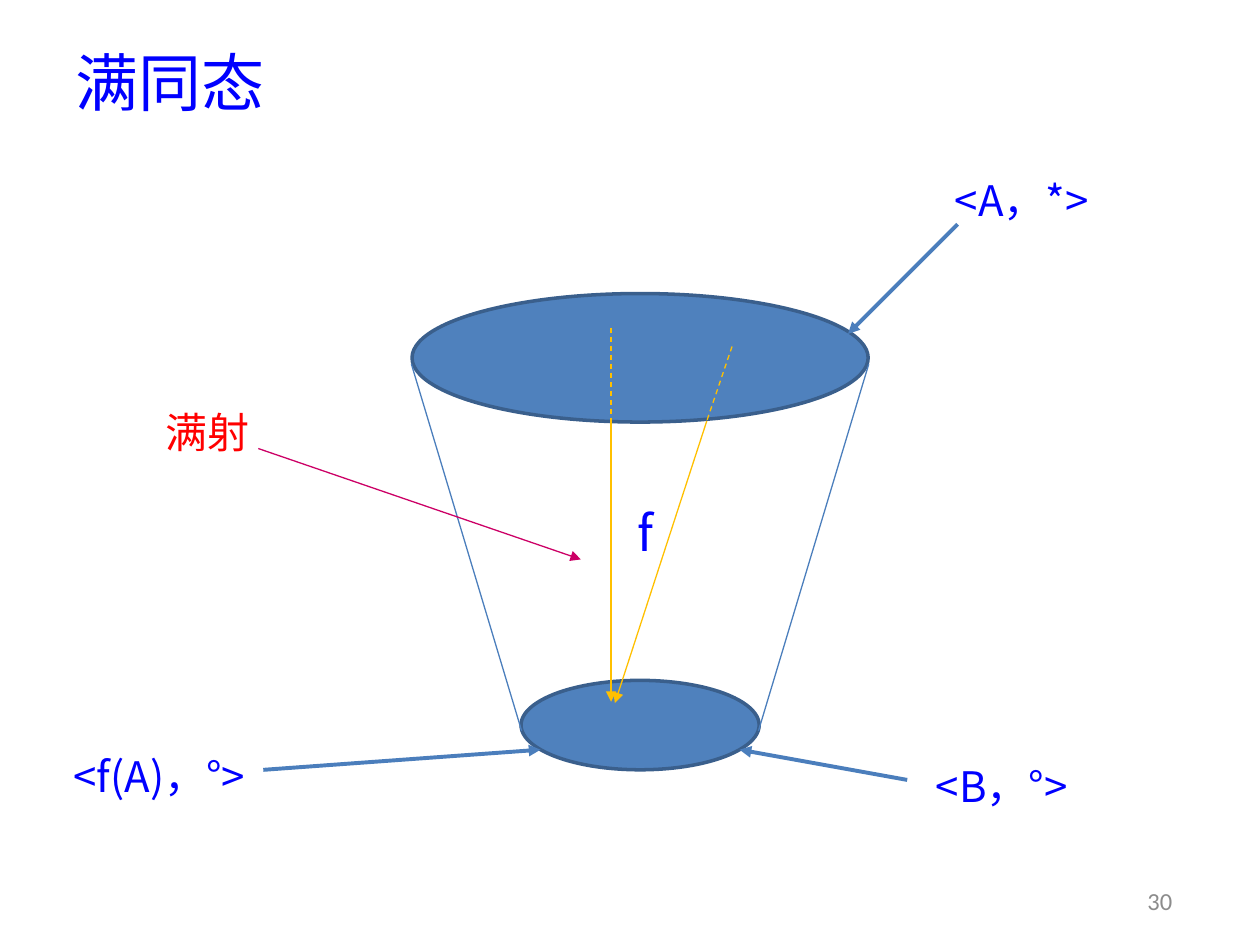
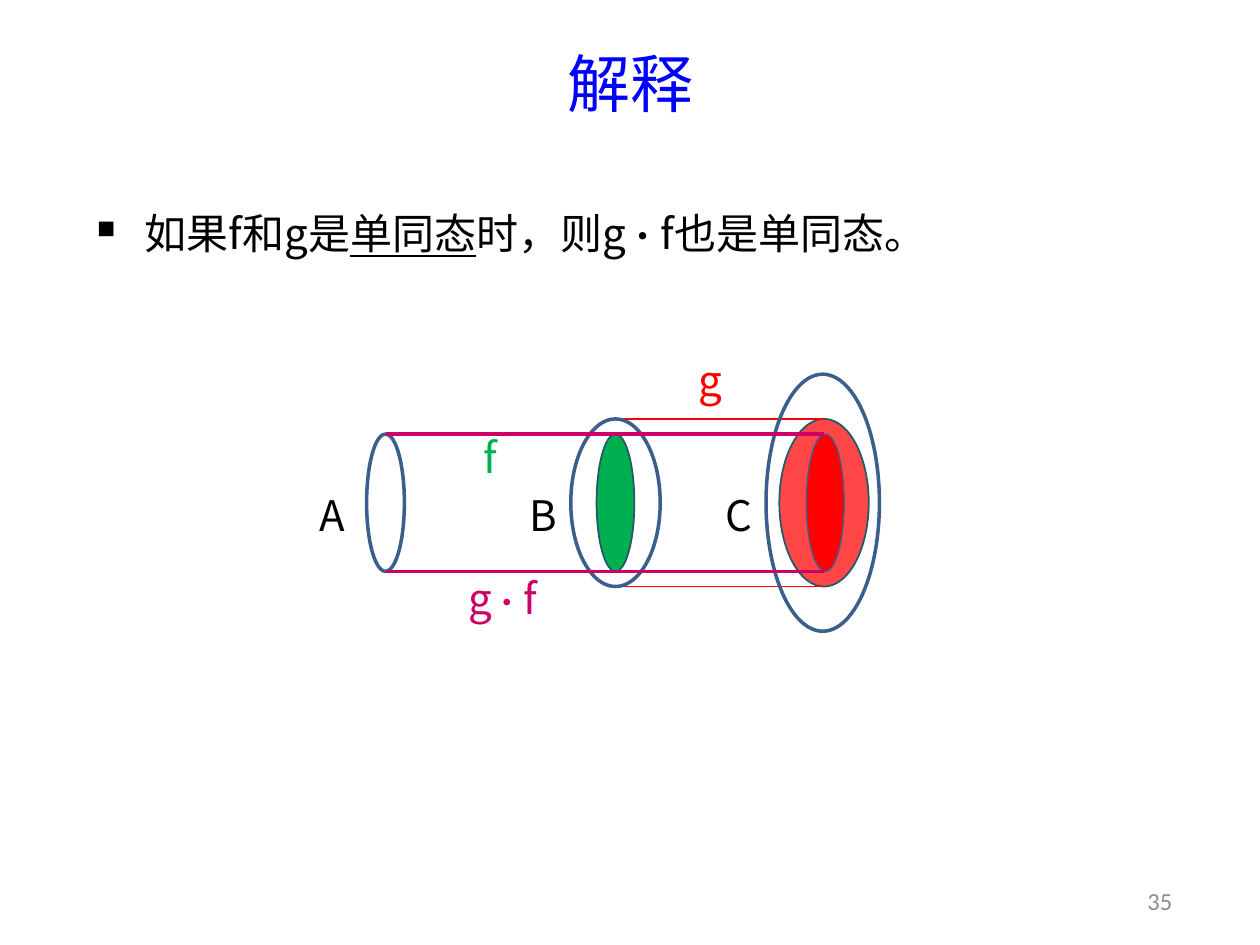
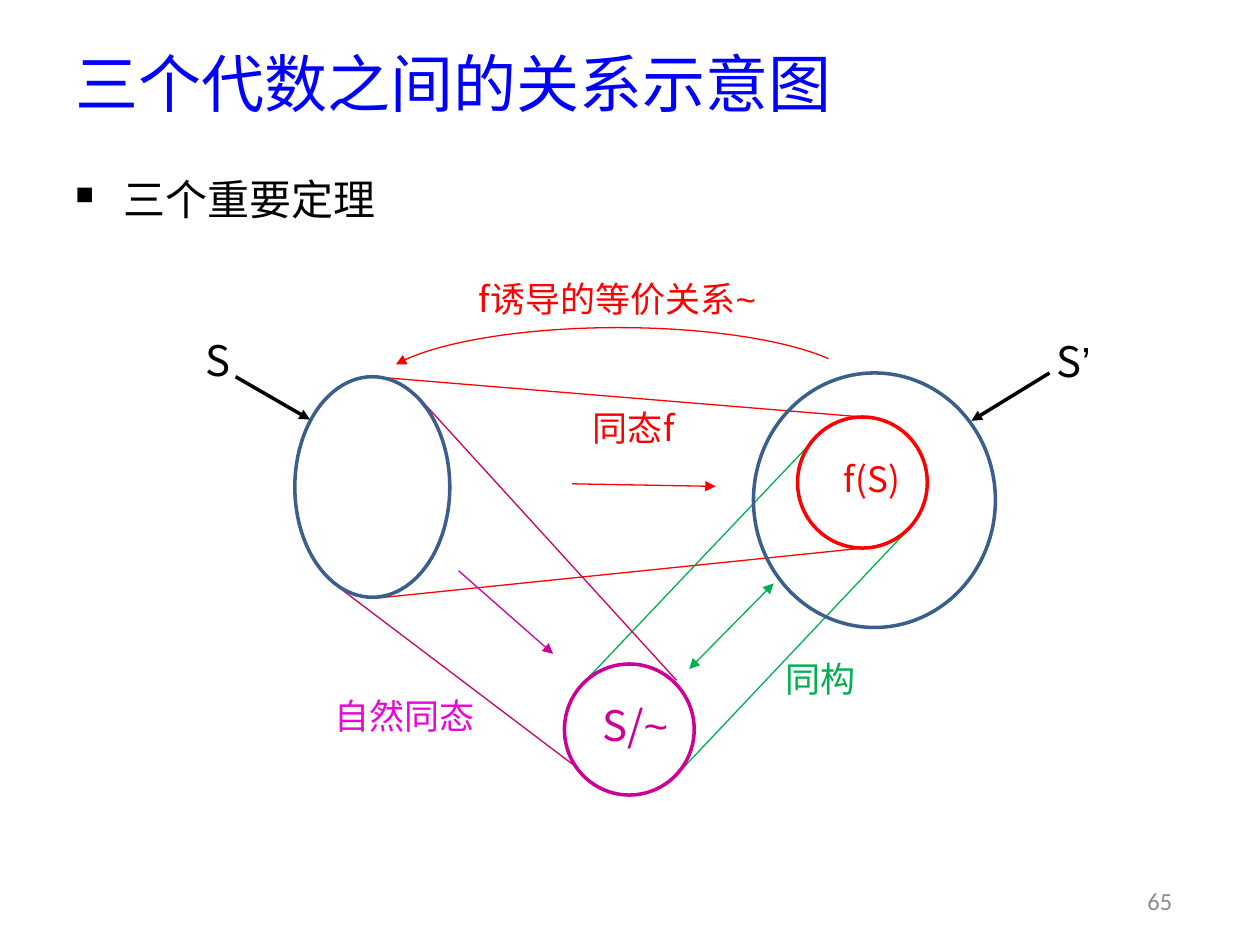
"""Build three slides that picture homomorphisms between algebras."""
import dataclasses

import lxml.etree
import pptx
import pptx.dml.color
import pptx.enum.dml
import pptx.enum.shapes
import pptx.enum.text
import pptx.oxml.ns
import pptx.util

ALIGN = pptx.enum.text.PP_ALIGN
ANCHOR = pptx.enum.text.MSO_ANCHOR
PRESET = pptx.enum.shapes.MSO_SHAPE
qn = pptx.oxml.ns.qn


@dataclasses.dataclass(frozen=True)
class Theme:
    """Page grid, fonts, type sizes, line widths and colours."""
    width = pptx.util.Inches(10)
    height = pptx.util.Inches(7.5)
    columns = 100
    rows = 75
    font = "Noto Sans CJK SC"
    number_font = "Calibri"
    symbol_font = "Arial"
    title_size = 36
    map_size = 28
    body_size = 24
    note_size = 20
    dot_size = 18
    number_size = 14
    thin = 0.75
    rim = 1
    bold = 2
    pointer = 2.25
    blue = "0000FF"
    set_fill = "4F81BD"
    set_line = "3A5F8C"
    side_line = "4B7EBC"
    teal = "215968"
    red = "FF0000"
    green = "00B050"
    gold = "FFC000"
    crimson = "CC0066"
    purple = "CC0099"
    magenta = "E707D7"
    black = "000000"
    grey = "8C8C8C"


THEME = Theme()


def col(count):
    """Turn grid columns into a length."""
    return round(THEME.width * count / THEME.columns)


def row(count):
    """Turn grid rows into a length."""
    return round(THEME.height * count / THEME.rows)


def rgb(value):
    """Turn a hex string into a colour."""
    return pptx.dml.color.RGBColor.from_string(value)


def apply(target, values):
    """Set each attribute named in a dict of format values."""
    for name, value in values.items():
        setattr(target, name, value)


def place(shape, left, top, width, height):
    """Move and size a shape on the grid."""
    apply(shape, {"left": col(left), "top": row(top),
                  "width": col(width), "height": row(height)})


def write(frame, text, size, color, font=THEME.font, align=ALIGN.CENTER,
          anchor=ANCHOR.MIDDLE, margin=0):
    """Write a string, or (string, font values) runs, as one paragraph."""
    apply(frame, {"word_wrap": True, "vertical_anchor": anchor,
                  "auto_size": pptx.enum.text.MSO_AUTO_SIZE.NONE,
                  "margin_left": col(margin), "margin_right": col(margin)})
    paragraph = frame.paragraphs[0]
    paragraph.alignment = align
    for words, changes in [(text, {})] if isinstance(text, str) else text:
        run = paragraph.add_run()
        run.text = words
        apply(run.font, {"name": font, "size": pptx.util.Pt(size), **changes})
        run.font.color.rgb = rgb(color)
        east_asian = lxml.etree.SubElement(run.font._element, qn("a:ea"))
        east_asian.set("typeface", run.font.name)
        run.font._element.find(qn("a:latin")).addnext(east_asian)
    return paragraph


def new_slide(deck, title, number, align=ALIGN.LEFT, top=3.1, height=6.9):
    """Add a slide with its title and page number."""
    slide = deck.slides.add_slide(deck.slide_layouts[5])
    place(slide.shapes.title, 5, top, 90, height)
    write(slide.shapes.title.text_frame, title, THEME.title_size, THEME.blue,
          align=align, margin=1)
    label(slide, number, (89.1, 69.5, 5.9, 4), THEME.grey, THEME.number_size,
          font=THEME.number_font)
    return slide


def label(slide, text, box, color, size=THEME.body_size, **options):
    """Add a text box in a grid box and return its paragraph."""
    left, top, width, height = box
    holder = slide.shapes.add_textbox(col(left), row(top), col(width), row(height))
    return write(holder.text_frame, text, size, color, **options)


def bullet(slide, text, box):
    """Add a paragraph with a square bullet."""
    paragraph = label(slide, text, box, THEME.black, align=ALIGN.LEFT,
                      anchor=ANCHOR.TOP, margin=1)
    apply(paragraph, {"line_spacing": 1.1, "space_before": pptx.util.Pt(6),
                      "space_after": pptx.util.Pt(6)})
    properties = paragraph._p.get_or_add_pPr()
    properties.set("marL", str(col(3.8)))
    properties.set("indent", str(-col(3.8)))
    for tag, key, value in (("a:buSzPct", "val", "60000"), ("a:buChar", "char", "■")):
        lxml.etree.SubElement(properties, qn(tag)).set(key, value)


def arrowheads(line_owner, ends):
    """Put triangles on the named line ends."""
    line = line_owner.line._get_or_add_ln()
    for end in ends:
        lxml.etree.SubElement(line, qn(f"a:{end}")).set("type", "triangle")


def outline(slide, preset, box, line=None, width=THEME.bold, fill=None, opacity=None):
    """Add a preset shape with the given line and fill."""
    left, top, across, down = box
    shape = slide.shapes.add_shape(preset, col(left), row(top), col(across), row(down))
    shape.shadow.inherit = False
    if fill:
        shape.fill.solid()
        shape.fill.fore_color.rgb = rgb(fill)
    else:
        shape.fill.background()
    if opacity:
        color = shape.fill._xPr.find(qn("a:solidFill"))[0]
        lxml.etree.SubElement(color, qn("a:alpha")).set("val", str(opacity * 1000))
    if line:
        shape.line.color.rgb = rgb(line)
        shape.line.width = pptx.util.Pt(width)
    else:
        shape.line.fill.background()
    return shape


def ellipse(slide, center, size, line=THEME.set_line, **style):
    """Add an ellipse around a centre point."""
    box = [middle - length / 2 for middle, length in zip(center, size)]
    return outline(slide, PRESET.OVAL, (*box, *size), line, **style)


def stroke(slide, start, end, color, width=THEME.thin, ends=(), dashed=False):
    """Add a straight line between two grid points."""
    line = slide.shapes.add_connector(
        pptx.enum.shapes.MSO_CONNECTOR.STRAIGHT,
        col(start[0]), row(start[1]), col(end[0]), row(end[1]))
    line.line.color.rgb = rgb(color)
    line.line.width = pptx.util.Pt(width)
    if dashed:
        line.line.dash_style = pptx.enum.dml.MSO_LINE.DASH
    arrowheads(line, ends)
    lxml.etree.SubElement(line._element.spPr, qn("a:effectLst"))


def arrow(slide, start, end, color, width=THEME.thin, both=False):
    """Add an arrow that points at its end, or both ways."""
    stroke(slide, start, end, color, width,
           ("headEnd", "tailEnd") if both else ("tailEnd",))


def epimorphism(deck):
    """Show a surjective map from A onto B."""
    slide = new_slide(deck, "满同态", "30", top=2.2, height=8.5)
    axis = 50.8
    for middle, size in ((28.4, (36.2, 10.2)), (57.55, (18.9, 7.1))):
        ellipse(slide, (axis, middle), size, fill=THEME.set_fill)
    for side in (-1, 1):
        stroke(slide, (axis + side * 18.15, 28.9), (axis + side * 9.4, 58),
               THEME.side_line)

    algebras = (
        ("<f(A)，°>", (2, 58.8, 21.3, 5.5), (20.9, 61.1), (42.9, 59.5)),
        ("<A，*>", (68.1, 13.1, 26, 5.5), (76, 17.8), (67.3, 26.5)),
        ("<B，°>", (68.9, 59.6, 21.2, 5.5), (72, 61.9), (58.7, 59.5)),
    )
    for name, box, start, end in algebras:
        label(slide, name, box, THEME.blue)
        arrow(slide, start, end, THEME.side_line, THEME.pointer)
    label(slide, "f", (44.5, 39.9, 13.4, 4.7), THEME.blue, THEME.map_size)

    for element, rim, image in (((48.5, 26), (48.5, 33.5), (48.5, 55.7)),
                                ((58.1, 27.5), (56.1, 33.4), (48.8, 55.8))):
        arrow(slide, rim, image, THEME.gold)
        stroke(slide, element, rim, THEME.gold, dashed=True)

    surjection = outline(slide, PRESET.ROUNDED_RECTANGLE, (11.1, 32, 10.8, 4.5))
    write(surjection.text_frame, "满射", THEME.body_size, THEME.red)
    arrow(slide, (20.5, 35.6), (46.1, 44.4), THEME.crimson)


def composition(deck):
    """Show that two monomorphisms compose to a monomorphism."""
    slide = new_slide(deck, "解释", "35", ALIGN.CENTER)
    axis = 39.9
    a, b, c = 30.6, 48.85, 65.4
    size_a, size_b, size_c = (3, 10.9), (7.1, 13.3), (9, 20.4)

    def rails(start, end, size, color, **style):
        """Join two sets along their top and bottom."""
        for side in (-1, 1):
            level = axis + side * size[1] / 2
            stroke(slide, (start, level), (end, level), color, **style)

    ellipse(slide, (c, axis), size_b, THEME.teal, width=THEME.rim,
            fill=THEME.red, opacity=72)
    rails(b, c, size_b, THEME.red)
    dot = {"size": pptx.util.Pt(THEME.note_size)}
    bullet(slide, [("如果f和g是", {}), ("单同态", {"underline": True}),
                   ("时，则g", {}), ("·", dot), ("f也是单同态。", {})],
           (6.7, 15.6, 69.1, 5.7))
    for center, size in ((a, size_a), (b, size_b), (c - 0.1, size_c)):
        ellipse(slide, (center, axis), size)
    rails(a, b, size_a, THEME.green)
    ellipse(slide, (b, axis), size_a, THEME.teal, width=THEME.rim, fill=THEME.green)
    rails(b, c, size_a, THEME.red, dashed=True)
    ellipse(slide, (c + 0.1, axis), size_a, width=THEME.thin, fill=THEME.red)
    rails(a, c, size_a, THEME.crimson, width=THEME.bold)

    for name, left, top, color in (
            ("A", 23.4, 38.9, THEME.black), ("B", 40.2, 38.9, THEME.black),
            ("C", 55.7, 38.9, THEME.black), ("f", 36, 34.3, THEME.green),
            ("g", 53.4, 28.2, THEME.red)):
        label(slide, name, (left, top, 5.9, 3.9), color)
    label(slide, [("g", {}), ("·", {"size": pptx.util.Pt(THEME.dot_size)}), ("f", {})],
          (34.2, 45.5, 11.4, 3.8), THEME.crimson)


def three_algebras(deck):
    """Relate S, its image in S’ and its quotient."""
    slide = new_slide(deck, "三个代数之间的关系示意图", "65")
    bullet(slide, "三个重要定理", (5, 12.9, 50.2, 5.8))
    symbol = {"name": THEME.symbol_font}

    for start, end, color in (
            ((46.3, 54.2), (64.8, 34.7), THEME.green),
            ((53.7, 61.5), (72.1, 42), THEME.green),
            ((29.6, 29.9), (68.5, 33.1), THEME.red),
            ((29.6, 47.5), (68.5, 43.5), THEME.red),
            ((26.6, 46.4), (45.9, 61), THEME.crimson),
            ((33.1, 31.4), (53.7, 54), THEME.crimson)):
        stroke(slide, start, end, color)

    for center, size, color in (
            ((68.45, 38.3), (10.3, 10.4), THEME.red),
            ((29.55, 38.65), (12.3, 17.5), THEME.set_line),
            ((69.4, 39.7), (19.2, 20.2), THEME.set_line),
            ((49.95, 57.9), (10.3, 10.4), THEME.purple)):
        ellipse(slide, center, size, color)

    induced = outline(slide, PRESET.ARC, (29.6, 26, 38.9, 10.1), THEME.red, THEME.thin)
    induced.adjustments[0], induced.adjustments[1] = 113.285, 211.857
    induced._element.spPr.find(qn("a:xfrm")).set("flipH", "1")
    arrowheads(induced, ("tailEnd",))

    for text, left, top, width, color, size in (
            ("S", 14.7, 26.1, 5.2, THEME.black, THEME.body_size),
            ([("S", {}), ("’", symbol)], 82.6, 26.2, 5.2, THEME.black, THEME.body_size),
            ([("S/", {}), ("~", symbol)], 46.5, 55.1, 7.8, THEME.purple, THEME.body_size),
            ("f(S)", 65.3, 35.5, 7.8, THEME.red, THEME.note_size),
            ("同态f", 44.6, 31.5, 11.4, THEME.red, THEME.note_size),
            ("同构", 61.1, 51.4, 8.1, THEME.green, THEME.note_size),
            ("自然同态", 24.2, 54.3, 15.8, THEME.magenta, THEME.note_size),
            ([("f诱导的等价关系", {}), ("~", symbol)],
             36.1, 21.2, 25.8, THEME.red, THEME.note_size)):
        label(slide, text, (left, top, width, 4.9), color, size)

    arrow(slide, (83.3, 29.6), (77.1, 33.4), THEME.black, THEME.bold)
    arrow(slide, (18.7, 29.9), (24.6, 33.3), THEME.black, THEME.bold)
    arrow(slide, (45.4, 38.4), (56.8, 38.6), THEME.red)
    arrow(slide, (36.4, 45.3), (43.9, 51.9), THEME.purple)
    arrow(slide, (54.7, 53.1), (61.4, 46.3), THEME.green, both=True)


def main():
    """Build and save the deck."""
    deck = pptx.Presentation()
    apply(deck, {"slide_width": THEME.width, "slide_height": THEME.height})
    for build in (epimorphism, composition, three_algebras):
        build(deck)
    deck.save("out.pptx")


if __name__ == "__main__":
    main()
